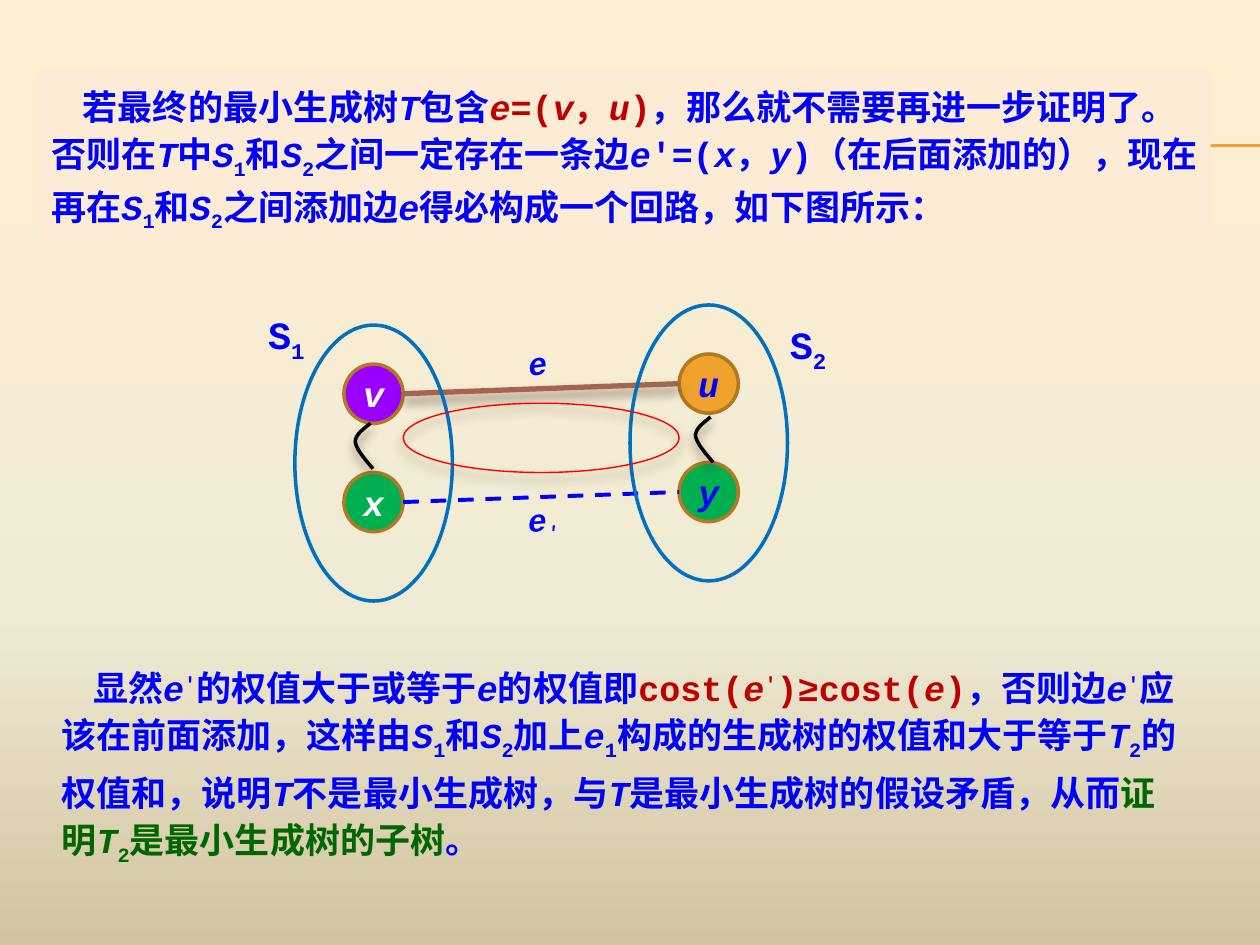
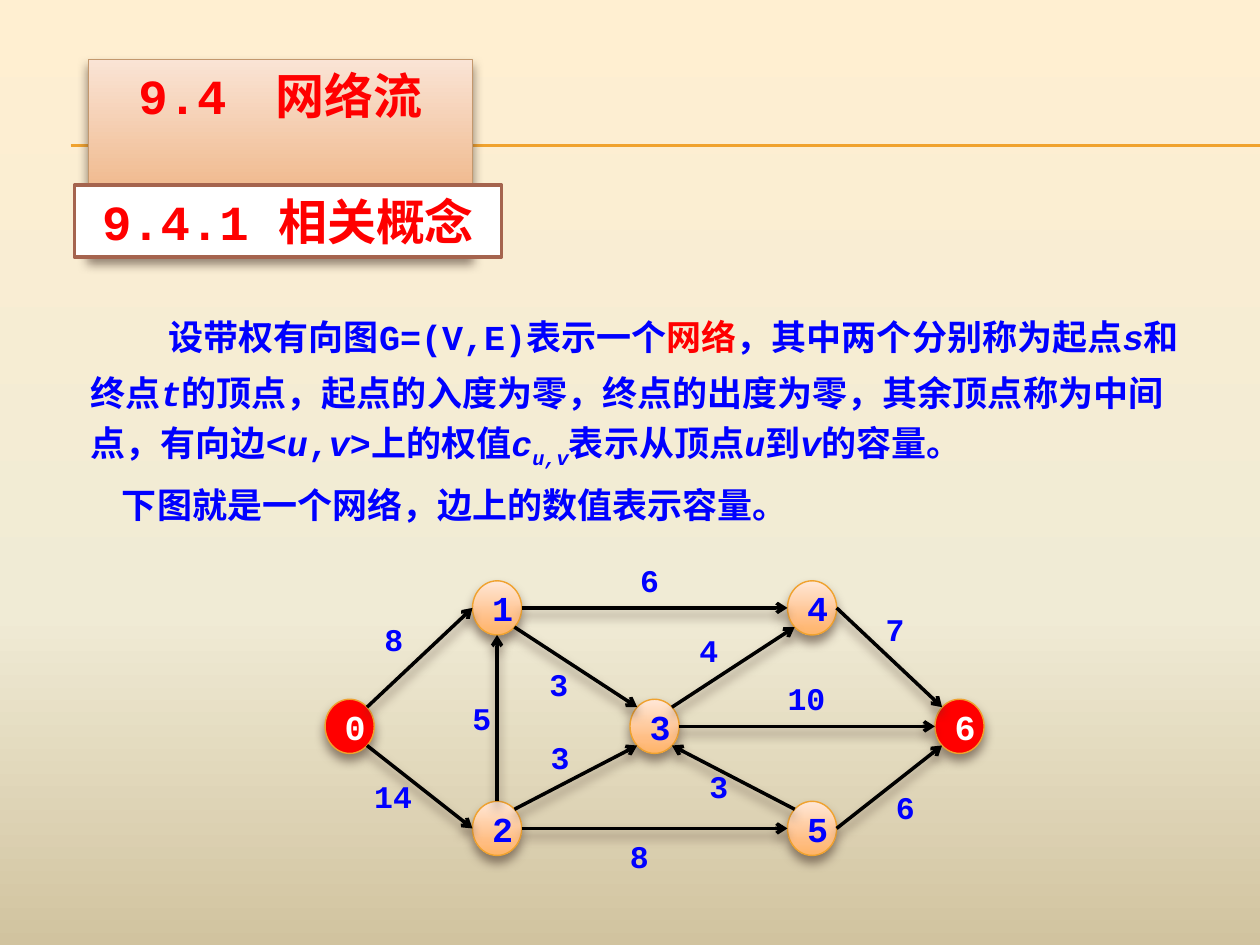
from dataclasses import dataclass
from math import cos, radians, sin
from typing import Optional

from lxml.etree import SubElement
from pptx import Presentation
from pptx.dml.color import RGBColor
from pptx.enum.dml import MSO_LINE_DASH_STYLE as Dash
from pptx.enum.shapes import MSO_CONNECTOR as Connector, MSO_SHAPE as Preset
from pptx.enum.text import MSO_ANCHOR as Anchor, MSO_AUTO_SIZE as AutoSize, PP_ALIGN as Align
from pptx.oxml.ns import qn
from pptx.util import Inches, Pt

FONT = "Courier New"
BLUE, RED, DARK_RED, GREEN = "0000FF", "FF0000", "C00000", "006600"
WHITE, BLACK, GOLD, BROWN, LEAF = "FFFFFF", "000000", "F0A22E", "A5644E", "00B050"
SHADOW = "4E3B30"
BACKDROP = ((0, "FFEFD1"), (65, "F0EBD5"), (100, "D1C39F"))
BANNER = ((0, "FAE4D5"), (72, "EFB688"), (100, "EFAA6F"))
PEACH = ((0, "FFE7D7"), (72, "FFBE84"), (100, "FFB468"))
RIGHT, LOWER_RIGHT, BOTTOM, LOWER_LEFT = 0, 45, 90, 135
LEFT, UPPER_LEFT, TOP, UPPER_RIGHT = 180, 225, 270, 315


@dataclass(frozen=True)
class Run:
    """A piece of text in one style."""
    text: str
    color: str = BLUE
    italic: bool = False
    baseline: int = 0


@dataclass(frozen=True)
class Paragraph:
    """Runs with a first-line indent in inches."""
    runs: list
    indent: float = 0


@dataclass(frozen=True)
class VertexStyle:
    """Look shared by the vertices of one graph."""
    width: float
    height: float
    outline: str
    weight: float
    italic: bool
    inset: float
    shadow: bool


@dataclass(frozen=True)
class Vertex:
    """A labelled vertex, placed by its top left corner."""
    label: str
    left: float
    top: float
    fill: object
    color: str
    style: VertexStyle

    def rim(self, angle: int) -> tuple:
        """Return the rim point at a clockwise angle."""
        half_width, half_height = self.style.width / 2, self.style.height / 2
        return (self.left + half_width * (1 + cos(radians(angle))),
                self.top + half_height * (1 + sin(radians(angle))))


@dataclass(frozen=True)
class Edge:
    """A directed edge with its capacity and the place of that number."""
    source: int
    leave: int
    target: int
    arrive: int
    capacity: str
    left: float
    top: float


def var(text: str, color: str = BLUE) -> Run:
    """Return an italic variable."""
    return Run(text, color, True)


def indexed(letter: str, index: str, color: str = BLUE) -> list:
    """Return a variable with a subscript."""
    return [var(letter, color), Run(index, color, baseline=-25)]


def primed(color: str = BLUE) -> list:
    """Return the variable e with a raised prime."""
    return [var("e", color), Run("'", color, baseline=30)]


def rgb(color: str) -> RGBColor:
    """Turn a hex string into a colour."""
    return RGBColor.from_string(color)


def paint(fill, element, color) -> None:
    """Apply no fill, a solid colour or vertical gradient stops."""
    if color is None:
        fill.background()
    elif isinstance(color, str):
        fill.solid()
        fill.fore_color.rgb = rgb(color)
    else:
        fill.gradient()
        fill.gradient_angle = 270
        stops = element.xpath(".//a:gradFill/a:gsLst")[0]
        stops.clear()
        for position, tone in color:
            stop = SubElement(stops, qn("a:gs"), pos=str(position * 1000))
            SubElement(stop, qn("a:srgbClr"), val=tone)


def outline(shape, color: Optional[str], weight: float = 0, shadow: bool = False) -> None:
    """Set the line of a shape or connector and its shadow."""
    if color:
        shape.line.color.rgb = rgb(color)
        shape.line.width = Pt(weight)
    else:
        shape.line.fill.background()
    effects = SubElement(shape.element.spPr, qn("a:effectLst"))
    if shadow:
        outer = SubElement(effects, qn("a:outerShdw"), blurRad=str(Pt(6)), dist=str(Pt(4)),
                           dir="5400000", algn="ctr", rotWithShape="0")
        tone = SubElement(outer, qn("a:srgbClr"), val=SHADOW)
        SubElement(tone, qn("a:alpha"), val="60000")


def write(shape, paragraphs: list, size: float, leading: float = 0, align=Align.LEFT,
          anchor=Anchor.TOP, grow: bool = True) -> None:
    """Fill a shape with paragraphs, run by run."""
    frame = shape.text_frame
    frame.word_wrap = True
    frame.vertical_anchor = anchor
    frame.auto_size = AutoSize.SHAPE_TO_FIT_TEXT if grow else AutoSize.NONE
    for number, content in enumerate(paragraphs):
        line = frame.add_paragraph() if number else frame.paragraphs[0]
        line.alignment = align
        if leading:
            line.line_spacing = Pt(leading)
        if content.indent:
            line._p.get_or_add_pPr().set("indent", str(Inches(content.indent)))
        for piece in content.runs:
            run = line.add_run()
            run.text = piece.text
            run.font.name, run.font.size = FONT, Pt(size)
            run.font.bold, run.font.italic = True, piece.italic
            run.font.color.rgb = rgb(piece.color)
            if piece.baseline:
                run._r.get_or_add_rPr().set("baseline", str(piece.baseline * 1000))


def add_preset(slide, preset, box: tuple, fill, line: Optional[str], weight: float = 0,
               shadow: bool = False):
    """Add a preset shape with its fill, line and shadow."""
    shape = slide.shapes.add_shape(preset, *map(Inches, box))
    paint(shape.fill, shape.element, fill)
    outline(shape, line, weight, shadow)
    return shape


def add_text(slide, box: tuple, paragraphs: list, size: float, leading: float = 0,
             inset: Optional[float] = None, rotation: float = 0) -> None:
    """Add a text box."""
    label = slide.shapes.add_textbox(*map(Inches, box))
    label.rotation = rotation
    if inset is not None:
        frame = label.text_frame
        frame.margin_left = frame.margin_right = Inches(inset)
        frame.margin_top = frame.margin_bottom = Inches(inset)
    write(label, paragraphs, size, leading)


def add_line(slide, start: tuple, end: tuple, color: str, weight: float,
             shadow: bool = False, arrow: bool = False, dashed: bool = False):
    """Add a straight line."""
    line = slide.shapes.add_connector(Connector.STRAIGHT, *map(Inches, start + end))
    outline(line, color, weight, shadow)
    if dashed:
        line.line.dash_style = Dash.DASH
    if arrow:
        SubElement(line.element.spPr.find(qn("a:ln")), qn("a:tailEnd"), type="arrow")
    return line


def add_vertex(slide, vertex: Vertex) -> None:
    """Draw a vertex with its label."""
    style = vertex.style
    disc = add_preset(slide, Preset.OVAL, (vertex.left, vertex.top, style.width, style.height),
                      vertex.fill, style.outline, style.weight, style.shadow)
    disc.text_frame.margin_left = disc.text_frame.margin_right = Inches(style.inset)
    write(disc, [Paragraph([Run(vertex.label, vertex.color, style.italic)])], 20,
          align=Align.CENTER, anchor=Anchor.MIDDLE, grow=False)


def add_path(slide, left: float, top: float) -> None:
    """Draw the wavy path between two vertices of one subtree."""
    bends = (((0.12, 0), (0.06, 0.05), (0, 0.09), (0, 0.15)),
             ((0, 0.15), (0.01, 0.21), (0.08, 0.29), (0.14, 0.36)))
    points = []
    for bend in bends:
        for t in (step / 10 for step in range(11)):
            weights = ((1 - t) ** 3, 3 * t * (1 - t) ** 2, 3 * t ** 2 * (1 - t), t ** 3)
            x, y = (sum(w * p[axis] for w, p in zip(weights, bend)) for axis in (0, 1))
            points.append((Inches(left + x), Inches(top + y)))
    builder = slide.shapes.build_freeform(*points[0])
    builder.add_line_segments(points[1:], close=False)
    wave = builder.convert_to_shape()
    paint(wave.fill, wave.element, None)
    outline(wave, BLACK, 2, True)


def style_master(deck, slide) -> None:
    """Give the master its backdrop and double rule."""
    master = deck.slide_master
    paint(master.background.fill, master.element, BACKDROP)
    for height in (1.15, 1.16):
        rule = add_line(slide, (0.56, height), (10, height), GOLD, 0.75)
        master.shapes.element.append(rule.element)


def build_proof(slide) -> None:
    """Build the minimum spanning tree proof."""
    style = VertexStyle(0.47, 0.47, "B27822", 2, True, 0, False)
    v = Vertex("v", 2.73, 2.89, "9900FF", WHITE, style)
    u = Vertex("u", 5.39, 2.81, GOLD, BLUE, style)
    x = Vertex("x", 2.73, 3.75, LEAF, WHITE, style)
    y = Vertex("y", 5.39, 3.67, LEAF, BLUE, style)
    for vertex in (v, u, x, y):
        add_vertex(slide, vertex)
    add_line(slide, v.rim(RIGHT), u.rim(LEFT), BROWN, 3, shadow=True)
    add_line(slide, x.rim(RIGHT), y.rim(LEFT), BLUE, 2.25, dashed=True)
    for left, top in ((2.34, 2.58), (5, 2.42)):
        add_preset(slide, Preset.OVAL, (left, top, 1.25, 2.19), None, "0070C0", 2)
    s1, s2, t2 = indexed("S", "1"), indexed("S", "2"), indexed("T", "2")
    for box, index in (((2.03, 2.42, 0.55, 0.47), "1"), ((6.17, 2.5, 0.7, 0.47), "2")):
        add_text(slide, box, [Paragraph([Run("S"), Run(index, baseline=-25)])], 22)
    add_text(slide, (4.09, 2.67, 0.52, 0.4), [Paragraph([var("e")])], 18, rotation=352.3)
    add_text(slide, (4.09, 3.92, 0.52, 0.4),
             [Paragraph([var("e"), Run("'", italic=True, baseline=-25)])], 18, rotation=356.2)
    for left, top in ((2.82, 3.36), (5.52, 3.31)):
        add_path(slide, left, top)
    add_preset(slide, Preset.OVAL, (3.2, 3.2, 2.19, 0.55), None, RED, 0.79, True)
    premise = [
        Run("若最终的最小生成树"), var("T"), Run("包含"), var("e", DARK_RED), Run("=(", DARK_RED),
        var("v", DARK_RED), Run("，", DARK_RED), var("u", DARK_RED), Run(")", DARK_RED),
        Run("，那么就不需要再进一步证明了。否则在"), var("T"), Run("中"), *s1, Run("和"), *s2,
        Run("之间一定存在一条边"), var("e"), Run("'=("), var("x"), Run("，"), var("y"),
        Run(")（在后面添加的），现在再在"), *s1, Run("和"), *s2, Run("之间添加边"), var("e"),
        Run("得必构成一个回路，如下图所示：")]
    panel = add_preset(slide, Preset.RECTANGLE, (0.31, 0.55, 9.3, 1.36), "FCECD5", None)
    write(panel, [Paragraph(premise, 0.25)], 20, 30)
    conclusion = [
        Run("显然"), *primed(), Run("的权值大于或等于"), var("e"), Run("的权值即"),
        Run("cost(", DARK_RED), *primed(DARK_RED), Run(")≥cost(", DARK_RED), var("e", DARK_RED),
        Run(")", DARK_RED), Run("，否则边"), *primed(), Run("应该在前面添加，这样由"), *s1,
        Run("和"), *s2, Run("加上"), *indexed("e", "1"), Run("构成的生成树的权值和大于等于"), *t2,
        Run("的权值和，说明"), var("T"), Run("不是最小生成树，与"), var("T"),
        Run("是最小生成树的假设矛盾，从而"), Run("证明", GREEN), *indexed("T", "2", GREEN),
        Run("是最小生成树的子树", GREEN), Run("。")]
    add_text(slide, (0.39, 5.16, 9.14, 1.78), [Paragraph(conclusion, 0.25)], 20, 30)


def build_network(slide) -> None:
    """Build the network flow introduction."""
    title = slide.shapes.title
    title.left, title.top, title.width, title.height = map(Inches, (0.7, 0.47, 3.05, 0.59))
    paint(title.fill, title.element, BANNER)
    outline(title, "C3986D", 0.79, True)
    write(title, [Paragraph([Run("9.4　网络流", RED)])], 28, align=Align.CENTER)
    section = add_preset(slide, Preset.RECTANGLE, (0.59, 1.47, 3.39, 0.57), WHITE, BROWN, 2)
    write(section, [Paragraph([Run("9.4.1 相关概念", RED)])], 28, align=Align.CENTER)
    definition = [
        Run("设带权有向图G=(V,E)表示一个"), Run("网络", RED), Run("，其中两个分别称为起点"), var("s"),
        Run("和终点"), var("t"),
        Run("的顶点，起点的入度为零，终点的出度为零，其余顶点称为中间点，有向边<"), var("u"),
        Run(","), var("v"), Run(">上的权值"), var("c"), Run("u,v", italic=True, baseline=-25),
        Run("表示从顶点"), var("u"), Run("到"), var("v"), Run("的容量。")]
    example = [Run("下图就是一个网络，边上的数值表示容量。")]
    add_text(slide, (0.62, 2.34, 8.9, 1.9),
             [Paragraph(definition, 0.62), Paragraph(example, 0.25)], 20, 32)

    style = VertexStyle(0.39, 0.43, GOLD, 0.79, False, 0.1, True)
    corners = ((2.58, 5.55), (3.75, 4.61), (3.75, 6.36), (5, 5.55),
               (6.25, 4.61), (6.25, 6.36), (7.42, 5.55))
    vertices = [Vertex(str(number), left, top, *((RED, WHITE) if number in (0, 6) else (PEACH, BLUE)),
                       style) for number, (left, top) in enumerate(corners)]
    for vertex in vertices:
        add_vertex(slide, vertex)
    edges = (
        Edge(0, UPPER_RIGHT, 1, LEFT, "8", 3.05, 4.92),
        Edge(1, RIGHT, 4, LEFT, "6", 5.08, 4.45),
        Edge(0, LOWER_RIGHT, 2, LEFT, "14", 2.97, 6.17),
        Edge(2, RIGHT, 5, LEFT, "8", 5, 6.64),
        Edge(4, RIGHT, 6, UPPER_LEFT, "7", 7.03, 4.84),
        Edge(5, RIGHT, 6, LOWER_LEFT, "6", 7.11, 6.25),
        Edge(2, TOP, 1, BOTTOM, "5", 3.75, 5.55),
        Edge(1, LOWER_RIGHT, 3, UPPER_LEFT, "3", 4.36, 5.28),
        Edge(2, UPPER_RIGHT, 3, LOWER_LEFT, "3", 4.37, 5.86),
        Edge(3, UPPER_RIGHT, 4, LOWER_LEFT, "4", 5.55, 5.01),
        Edge(3, RIGHT, 6, LEFT, "10", 6.25, 5.39),
        Edge(5, UPPER_LEFT, 3, LOWER_RIGHT, "3", 5.63, 6.09))
    for edge in edges:
        add_line(slide, vertices[edge.source].rim(edge.leave),
                 vertices[edge.target].rim(edge.arrive), BLACK, 2, shadow=True, arrow=True)
        add_text(slide, (edge.left, edge.top, 0.16 * len(edge.capacity), 0.31),
                 [Paragraph([Run(edge.capacity)])], 18, inset=0)


deck = Presentation()
deck.slide_width, deck.slide_height = Inches(10), Inches(7.5)
title_only, blank = deck.slide_layouts[5], deck.slide_layouts[6]
proof = deck.slides.add_slide(blank)
style_master(deck, proof)
build_proof(proof)
build_network(deck.slides.add_slide(title_only))
deck.save("out.pptx")
